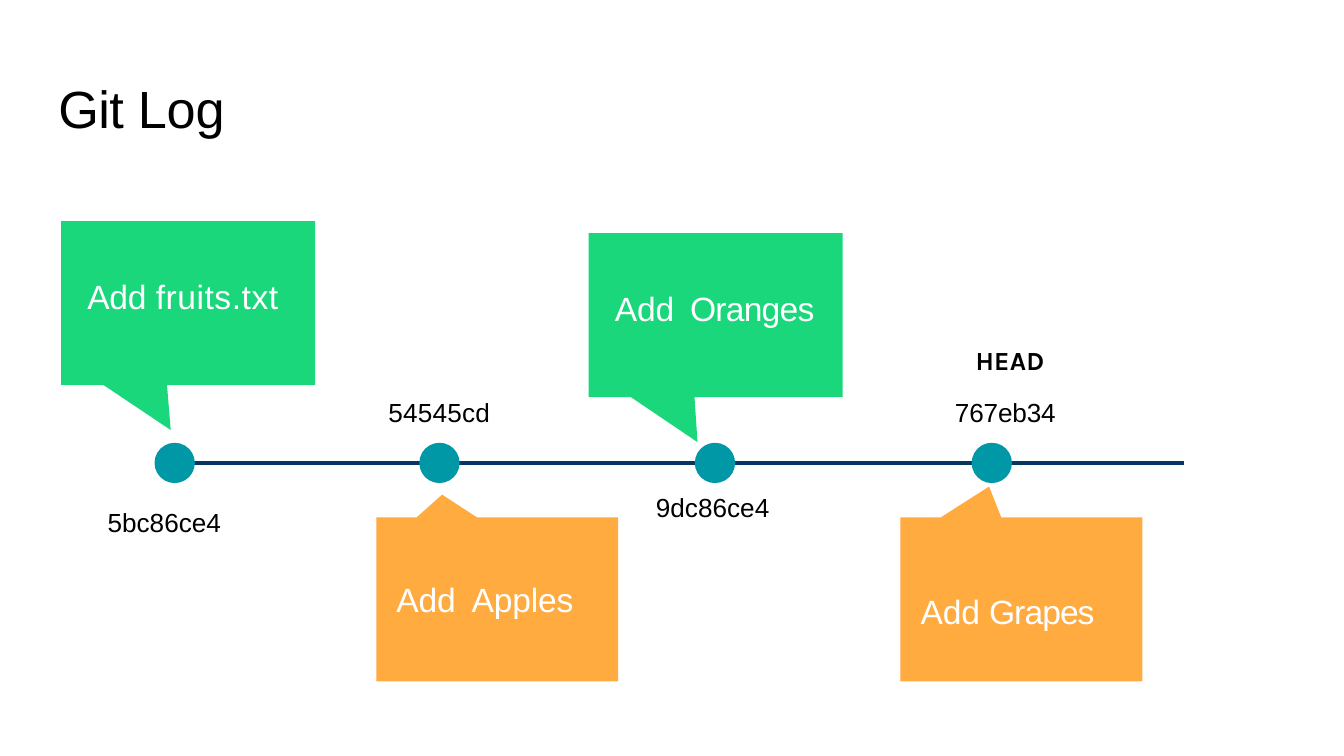
from pptx import Presentation
from pptx.dml.color import RGBColor
from pptx.enum.shapes import MSO_CONNECTOR, MSO_SHAPE
from pptx.enum.text import MSO_ANCHOR, MSO_AUTO_SIZE, PP_ALIGN
from pptx.util import Inches, Pt

BLACK = RGBColor(0x00, 0x00, 0x00)
WHITE = RGBColor(0xFF, 0xFF, 0xFF)
NAVY = RGBColor(0x06, 0x37, 0x63)
TEAL = RGBColor(0x00, 0x97, 0xA7)
GREEN = RGBColor(0x19, 0xD7, 0x7A)
ORANGE = RGBColor(0xFF, 0xAB, 0x40)

TITLE = {"size": Pt(28), "name": "Arial", "bold": False}
MESSAGE = {"size": Pt(18), "name": "Arial", "bold": False}
HASH = {"size": Pt(14), "name": "Arial", "bold": False}
HEAD = {"size": Pt(14), "name": "Karla", "bold": True}

deck = Presentation()
deck.slide_width = Inches(10)
deck.slide_height = deck.slide_width * 9 // 16
page = deck.slides.add_slide(deck.slide_layouts[5])
CELL = deck.slide_width / 100  # square grid, 100 columns across


def grid(*cells):
    return [round(cell * CELL) for cell in cells]


def write(box, lines, color, align=PP_ALIGN.LEFT):
    """Each line is (format, space before, [(text, letter spacing in points)])."""
    frame = box.text_frame
    frame_format = {"margin_left": Inches(0.01), "margin_right": 0,
                    "margin_top": Inches(0.01), "margin_bottom": 0,
                    "word_wrap": True, "auto_size": MSO_AUTO_SIZE.NONE,
                    "vertical_anchor": MSO_ANCHOR.TOP}
    for key, value in frame_format.items():
        setattr(frame, key, value)
    for index, (font_format, space, spans) in enumerate(lines):
        para = frame.add_paragraph() if index else frame.paragraphs[0]
        para.alignment = align
        if space:
            para.space_before = Pt(space)
        for text, spacing in spans:
            span = para.add_run()
            span.text = text
            for key, value in font_format.items():
                setattr(span.font, key, value)
            span.font.color.rgb = color
            span.font._element.set("spc", str(round(spacing * 100)))


# Title
title = page.shapes.title
title.left, title.top, title.width, title.height = grid(4.25, 5.55, 12.6, 4.9)
write(title, [(TITLE, 0, [("Git ", -0.3), ("Log", -0.1)])], BLACK)

# Timeline
AXIS = 34.45
timeline = page.shapes.add_connector(MSO_CONNECTOR.STRAIGHT, *grid(12.3, AXIS, 88.1, AXIS))
timeline.line.color.rgb = NAVY
timeline.line.width = Pt(2.25)
properties = timeline._element.spPr
properties.append(properties.makeelement(
    "{http://schemas.openxmlformats.org/drawingml/2006/main}effectLst", {}))

# Commits on the timeline
DOT = 3
for center in (13, 32.7, 53.2, 73.8):
    dot = page.shapes.add_shape(
        MSO_SHAPE.OVAL, *grid(center - DOT / 2, AXIS - DOT / 2, DOT, DOT))
    dot.shadow.inherit = False
    dot.fill.solid()
    dot.fill.fore_color.rgb = TEAL
    dot.line.fill.background()

# Commit messages: colour, callout corner and width, tip, text place and width, spans
CALLOUT_HEIGHT = 12.2
callouts = [
    (GREEN, 4.55, 16.45, 18.9, (12.7, 32), (6.4, 20.4, 14.7),
     [("Add ", -0.1), ("fruits.txt", 0.3)]),
    (ORANGE, 28, 38.5, 18, (32.9, 36.8), (29.4, 42.95, 13.6),
     [("Add", -0.1), (" ", 3.5), ("Apples", -0.1)]),
    (GREEN, 43.8, 17.35, 18.9, (51.9, 32.9), (45.65, 21.3, 15.2),
     [("Add", -0.1), (" ", 3.5), ("Oranges", -0.4)]),
    (ORANGE, 67, 38.5, 18, (73.6, 36.2), (68.4, 43.85, 13.2),
     [("Add ", -0.1), ("Grapes", -0.5)]),
]
for color, left, top, width, tip, place, spans in callouts:
    callout = page.shapes.add_shape(
        MSO_SHAPE.RECTANGULAR_CALLOUT, *grid(left, top, width, CALLOUT_HEIGHT))
    callout.adjustments[0] = (tip[0] - left) / width - 0.5
    callout.adjustments[1] = (tip[1] - top) / CALLOUT_HEIGHT - 0.5
    callout.shadow.inherit = False
    callout.fill.solid()
    callout.fill.fore_color.rgb = color
    callout.line.fill.background()
    message = page.shapes.add_textbox(*grid(*place, 3.3))
    write(message, [(MESSAGE, 0, spans)], WHITE)

# Commit hashes
for left, top, width, name, spacing in [(7.9, 37.55, 8.8, "5bc86ce4", 0),
                                        (28.8, 29.4, 7.8, "54545cd", 0.1),
                                        (48.7, 36.5, 8.8, "9dc86ce4", 0)]:
    label = page.shapes.add_textbox(*grid(left, top, width, 2.6))
    write(label, [(HASH, 0, [(name, spacing)])], BLACK)

# Current commit
current = page.shapes.add_textbox(*grid(70.8, 25.5, 7.9, 6.5))
write(current, [(HEAD, 0, [("HEAD", 0.1)]), (HASH, 11.3, [("767eb34", -0.1)])],
      BLACK, PP_ALIGN.CENTER)
current.text_frame.paragraphs[0]._p.get_or_add_pPr().set("marL", str(Inches(0.07)))

deck.save("out.pptx")
